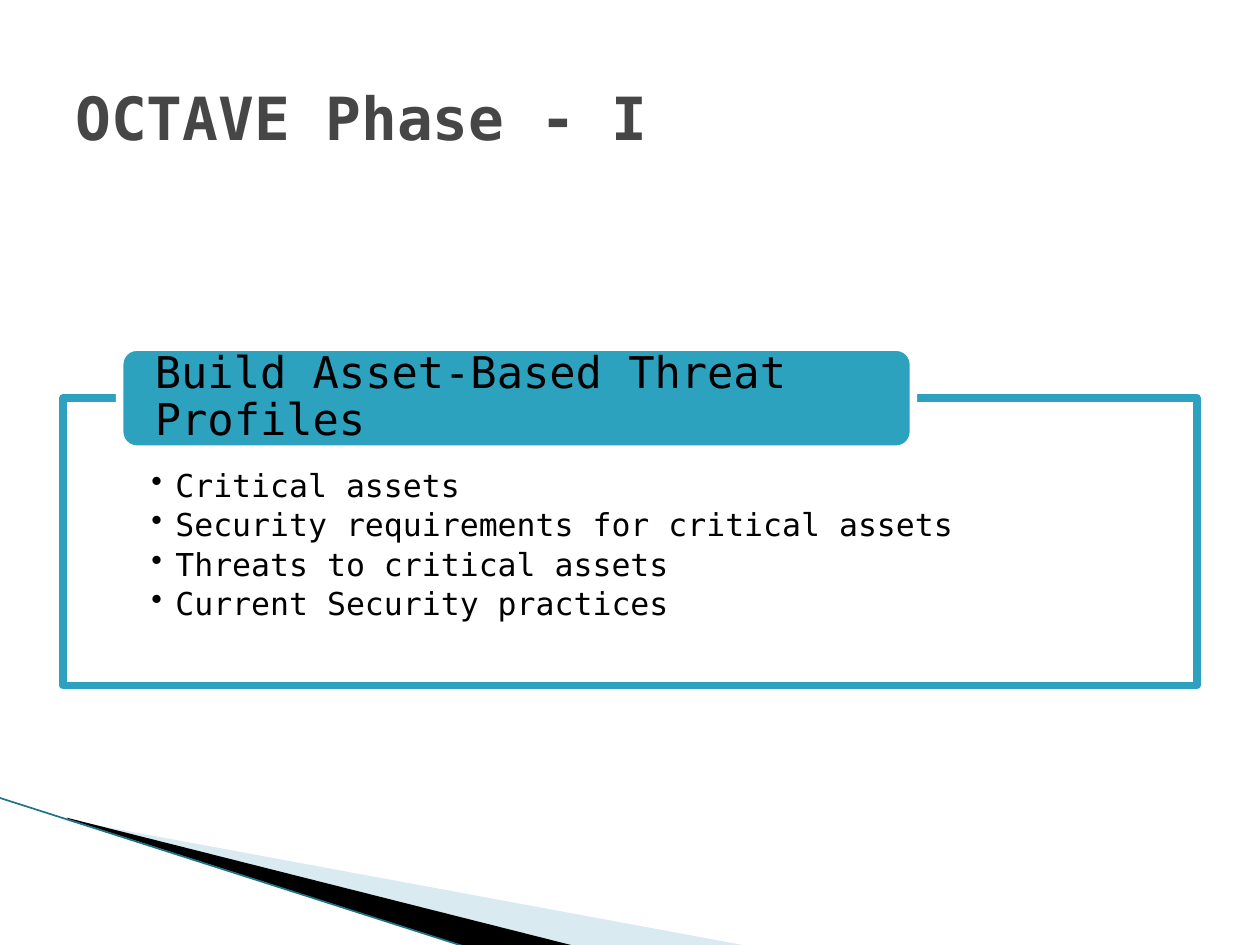
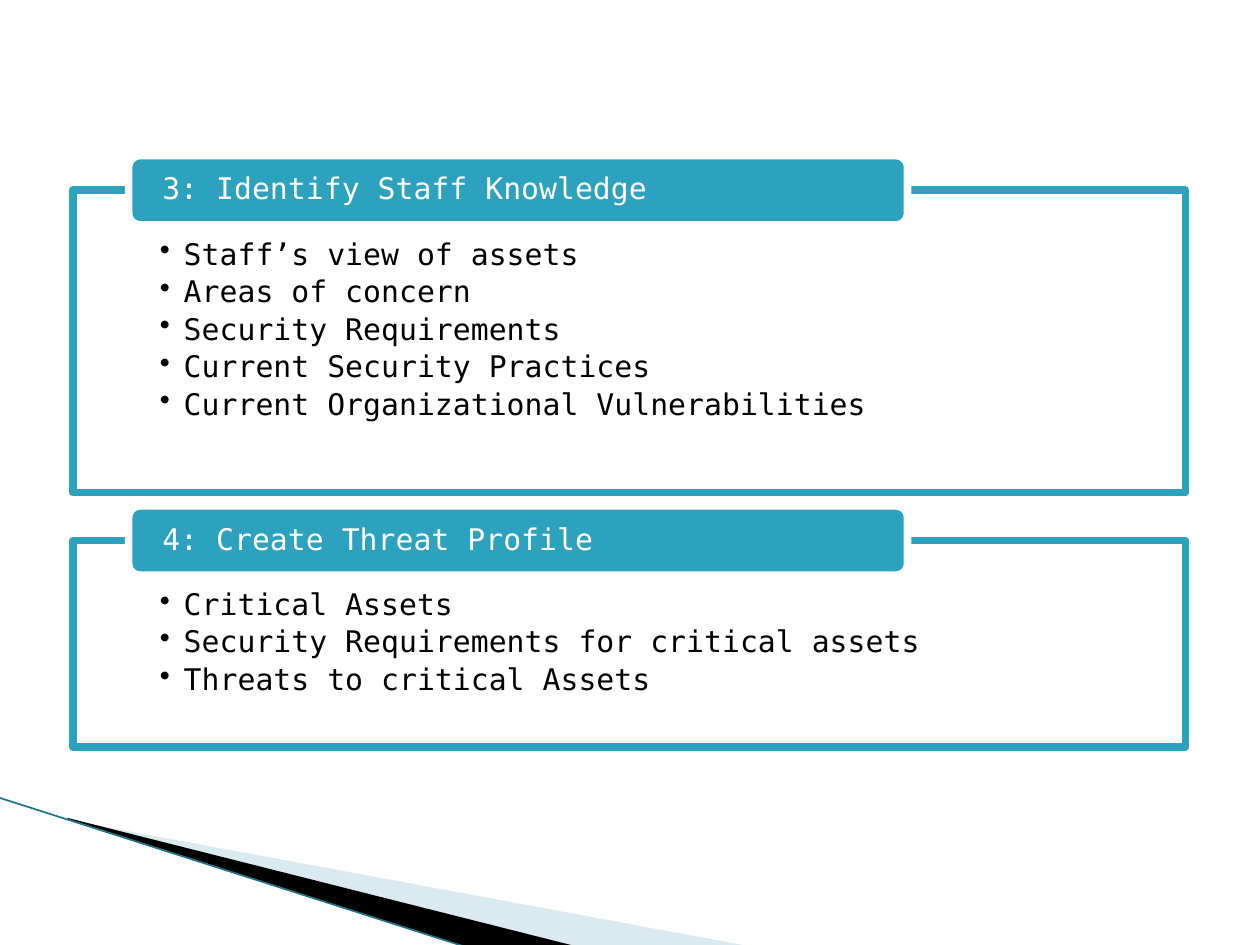
import pptx
import pptx.util
import pptx.dml.color
import pptx.enum.shapes
import pptx.enum.text
import pptx.oxml
import pptx.oxml.ns
from pptx.util import Inches

RGBColor = pptx.dml.color.RGBColor
Shapes = pptx.enum.shapes.MSO_SHAPE
Anchor = pptx.enum.text.MSO_ANCHOR

# Content: panels have a heading, bullets and a (top, height) for the frame
SLIDES = [
    {
        "title": "OCTAVE Phase - I",
        "frame": (0.5, 9), "tab_height": 0.81, "text_top": 0.57,
        "sizes": (25, 18), "heading_color": "black",
        "panels": [
            ("Build Asset-Based Threat Profiles", (3.16, 2.28),
             ["Critical assets", "Security requirements for critical assets",
              "Threats to critical assets", "Current Security practices"]),
        ],
    },
    {
        "title": None,
        "frame": (0.58, 8.83), "tab_height": 0.55, "text_top": 0.39,
        "sizes": (17, 17), "heading_color": "white",
        "panels": [
            ("3: Identify Staff Knowledge", (1.51, 2.4),
             ["Staff’s view of assets", "Areas of concern",
              "Security Requirements", "Current Security Practices",
              "Current Organizational Vulnerabilities"]),
            ("4: Create Threat Profile", (4.29, 1.64),
             ["Critical Assets", "Security Requirements for critical assets",
              "Threats to critical Assets"]),
        ],
    },
]

# Shared look
FONT = "DejaVu Sans Mono"
TEAL = RGBColor(0x2D, 0xA2, 0xBF)
DARK_TEAL = RGBColor(0x1B, 0x75, 0x87)
PALE_BLUE = RGBColor(0xA0, 0xCB, 0xDC)
GREY = RGBColor(0x46, 0x46, 0x46)
BLACK = RGBColor(0, 0, 0)
WHITE = RGBColor(255, 255, 255)
HEADING_COLORS = {"black": BLACK, "white": WHITE}
OUTLINE = 4.33
INDENT = 0.19
WEDGES = [
    ([(0.55, 6.51), (5.95, 7.51), (4.56, 7.51), (0.55, 6.5)], PALE_BLUE, 40),
    ([(0.53, 6.49), (4.57, 7.51), (3.72, 7.52), (0.54, 6.5)], BLACK, 100),
]


def paint(shape, fill, line=None, opacity=100):
    shape.shadow.inherit = False
    shape.fill.solid()
    shape.fill.fore_color.rgb = fill
    if opacity < 100:
        color = shape.fill._xPr.find(".//" + pptx.oxml.ns.qn("a:srgbClr"))
        alpha = pptx.oxml.parse_xml(
            f'<a:alpha {pptx.oxml.ns.nsdecls("a")} val="{opacity * 1000}"/>')
        color.append(alpha)
    if line is None:
        shape.line.fill.background()
    else:
        shape.line.color.rgb = line
        shape.line.width = pptx.util.Pt(OUTLINE)


def write(shape, lines, size, color, bold=False, bullet=False,
          anchor=Anchor.MIDDLE, margins=(0.1, 0.05, 0.1, 0.05), spacing=1.0, after=0):
    frame = shape.text_frame
    frame.word_wrap = True
    frame.vertical_anchor = anchor
    (frame.margin_left, frame.margin_top,
     frame.margin_right, frame.margin_bottom) = map(Inches, margins)
    for number, line in enumerate(lines):
        paragraph = frame.add_paragraph() if number else frame.paragraphs[0]
        paragraph.alignment = pptx.enum.text.PP_ALIGN.LEFT
        paragraph.line_spacing = spacing
        paragraph.space_after = pptx.util.Pt(after)
        run = paragraph.add_run()
        run.text = line
        run.font.name = FONT
        run.font.size = pptx.util.Pt(size)
        run.font.bold = bold
        run.font.color.rgb = color
        if bullet:
            properties = paragraph._p.get_or_add_pPr()
            properties.set("marL", str(Inches(INDENT)))
            properties.set("indent", str(-Inches(INDENT)))
            properties.append(pptx.oxml.parse_xml(
                f'<a:buChar {pptx.oxml.ns.nsdecls("a")} char="•"/>'))


def add_corner(slide):
    for points, color, opacity in WEDGES:
        corners = [(Inches(x), Inches(y)) for x, y in points]
        builder = slide.shapes.build_freeform(*corners[0])
        builder.add_line_segments(corners[1:], close=True)
        paint(builder.convert_to_shape(), color, opacity=opacity)
    edge = slide.shapes.add_connector(
        pptx.enum.shapes.MSO_CONNECTOR.STRAIGHT,
        Inches(-0.01), Inches(6.33), Inches(3.71), Inches(7.52))
    edge.line.color.rgb = DARK_TEAL
    edge.line.width = pptx.util.Pt(0.95)
    edge._element.spPr.append(
        pptx.oxml.parse_xml(f'<a:effectLst {pptx.oxml.ns.nsdecls("a")}/>'))


def add_panel(slide, page, heading, place, bullets):
    left, width = page["frame"]
    top, height = place
    heading_size, bullet_size = page["sizes"]
    side = 0.078 * width

    # Frame with its bullets
    frame = slide.shapes.add_shape(
        Shapes.RECTANGLE, *map(Inches, (left, top, width, height)))
    paint(frame, WHITE, TEAL, opacity=90)
    write(frame, bullets, bullet_size, BLACK, bullet=True, anchor=Anchor.TOP,
          margins=(side, page["text_top"], side, 0.13), spacing=0.9, after=3.1)

    # Heading tab, centred on the top edge of the frame
    tab_height = page["tab_height"]
    tab = slide.shapes.add_shape(
        Shapes.ROUNDED_RECTANGLE,
        *map(Inches, (left + 0.05 * width, top - tab_height / 2,
                      0.7 * width, tab_height)))
    paint(tab, TEAL, WHITE)
    write(tab, [heading], heading_size, HEADING_COLORS[page["heading_color"]],
          margins=(0.24, 0, 0.24, 0), spacing=0.9)


def main():
    presentation = pptx.Presentation()
    presentation.slide_width = Inches(10)
    presentation.slide_height = Inches(7.5)
    for page in SLIDES:
        slide = presentation.slides.add_slide(presentation.slide_layouts[6])
        add_corner(slide)
        for panel in page["panels"]:
            add_panel(slide, page, *panel)
        if page["title"]:
            title = slide.shapes.add_textbox(*map(Inches, (0.5, 0.3, 9, 1.25)))
            write(title, [page["title"]], 34, GREY, bold=True)
    presentation.save("out.pptx")


if __name__ == "__main__":
    main()
